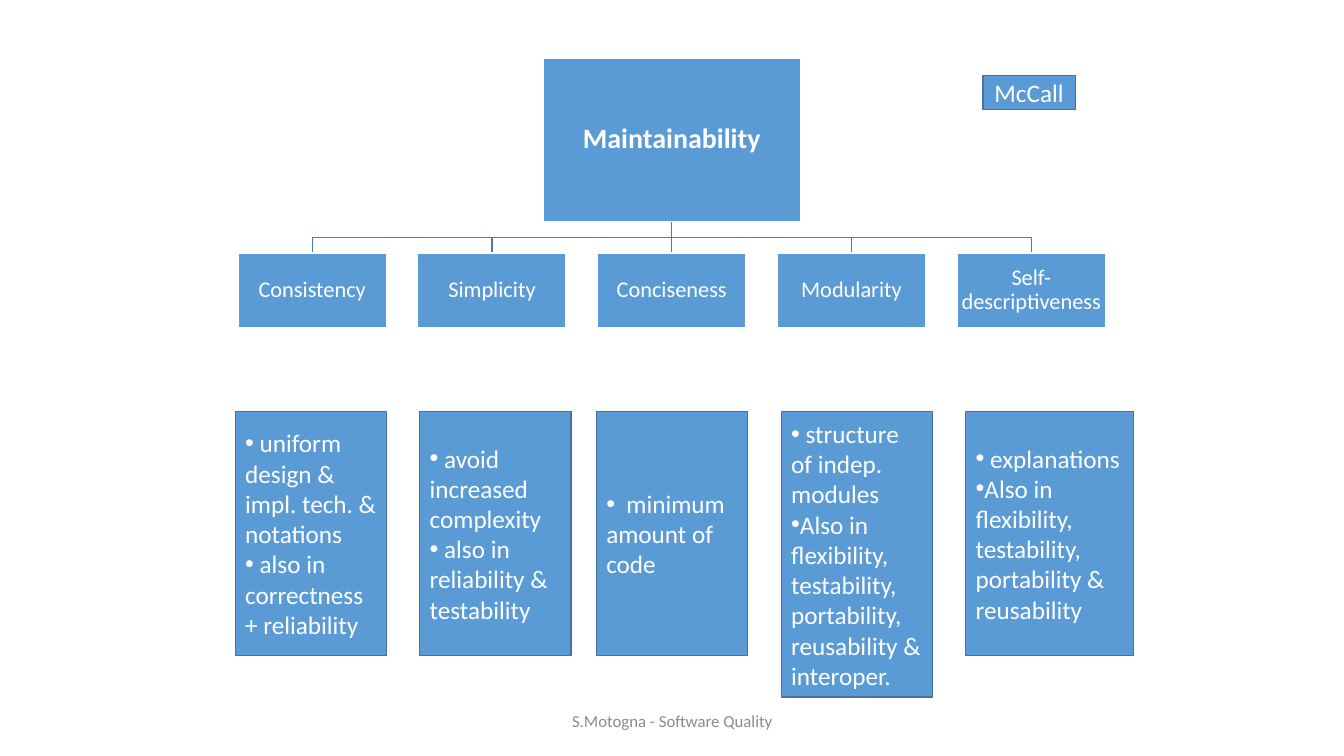
from lxml import etree
from pptx import Presentation
from pptx import util as u
from pptx.dml.color import RGBColor
from pptx.enum import shapes, text
from pptx.oxml.ns import qn

COLORS = {"box": "5B9BD5", "edge": "43739E", "link": "497CAB",
          "white": "FFFFFF", "footer": "8C8C8C"}
FONT = "Calibri"
CENTER = text.PP_ALIGN.CENTER
LEFT = text.PP_ALIGN.LEFT

ROOT = (13.69, 1.47, 6.48, 4.11)
ROOT_X = 16.93
LINK_TOP, LINK_MID, LINK_END = 5.59, 5.99, 6.38
CRITERION_W, CRITERION_H, CRITERION_PITCH = 3.74, 1.87, 4.53
CRITERIA = ["Consistency", "Simplicity", "Conciseness", "Modularity",
            "Self-descriptiveness"]
NOTES_TOP = 10.37
NOTES = [
    (5.93, 3.81, 6.15, [" uniform design & impl. tech. & notations",
                        " also in correctness + reliability"]),
    (10.58, 3.81, 6.15, [" avoid increased complexity",
                         " also in reliability & testability"]),
    (15.03, 3.81, 6.15, ["  minimum amount of code"]),
    (19.69, 3.81, 7.2, [" structure of indep. modules",
                        "Also in flexibility, testability, portability, "
                        "reusability & interoper."]),
    (24.34, 4.23, 6.15, [" explanations",
                         "Also in flexibility, testability, portability "
                         "& reusability"]),
]


def rgb(name):
    return RGBColor.from_string(COLORS[name])


def set_line(sp, color):
    sp.line.color.rgb = rgb(color)
    sp.line.width = u.Pt(1)


def add_bullet(p):
    pPr = p._p.get_or_add_pPr()
    pPr.set("marL", "0")
    pPr.set("indent", "0")
    etree.SubElement(pPr, qn("a:buFont")).set("typeface", "Arial")
    etree.SubElement(pPr, qn("a:buChar")).set("char", "•")


def write(sp, lines, size, color="white", align=CENTER, bold=False,
          spacing=None, bullets=False):
    tf = sp.text_frame
    tf.word_wrap = True
    tf.vertical_anchor = text.MSO_ANCHOR.MIDDLE
    for i, line in enumerate(lines):
        p = tf.add_paragraph() if i else tf.paragraphs[0]
        p.alignment = align
        if spacing:
            p.line_spacing = spacing
        if bullets:
            add_bullet(p)
        r = p.add_run()
        r.text = line
        r.font.name = FONT
        r.font.size = u.Pt(size)
        r.font.bold = bold
        r.font.color.rgb = rgb(color)


def add_box(s, box, edge, lines, size, **style):
    sp = s.shapes.add_shape(shapes.MSO_SHAPE.RECTANGLE, *map(u.Cm, box))
    sp.shadow.inherit = False
    sp.fill.solid()
    sp.fill.fore_color.rgb = rgb("box")
    set_line(sp, edge)
    write(sp, lines, size, **style)
    return sp


def add_tree_box(s, box, label, size, bold=False):
    sp = add_box(s, box, "white", [label], size, bold=bold, spacing=0.9)
    tf = sp.text_frame
    tf.margin_left = tf.margin_right = u.Cm(0.03)
    tf.margin_top = tf.margin_bottom = u.Cm(0.03)


def add_trunk(s):
    line = s.shapes.add_connector(
        shapes.MSO_CONNECTOR.STRAIGHT, u.Cm(ROOT_X), u.Cm(LINK_TOP),
        u.Cm(ROOT_X), u.Cm(LINK_END))
    set_line(line, "link")
    etree.SubElement(line._element.spPr, qn("a:effectLst"))


def add_branch(s, x):
    points = [(ROOT_X, LINK_MID), (x, LINK_MID), (x, LINK_END)]
    fb = s.shapes.build_freeform(u.Cm(ROOT_X), u.Cm(LINK_TOP))
    fb.add_line_segments([(u.Cm(px), u.Cm(py)) for px, py in points],
                         close=False)
    sp = fb.convert_to_shape()
    sp.shadow.inherit = False
    sp.fill.background()
    set_line(sp, "link")


def add_tree(s):
    middle = len(CRITERIA) // 2
    centers = [ROOT_X + (i - middle) * CRITERION_PITCH
               for i in range(len(CRITERIA))]
    for i, x in enumerate(centers):
        if i == middle:
            add_trunk(s)
        else:
            add_branch(s, x)
    add_tree_box(s, ROOT, "Maintainability", 20, bold=True)
    for x, label in zip(centers, CRITERIA):
        box = (x - CRITERION_W / 2, LINK_END, CRITERION_W, CRITERION_H)
        add_tree_box(s, box, label, 16)


def add_footer(s, label):
    sp = s.shapes.add_textbox(*map(u.Cm, (11.23, 17.65, 11.43, 1.02)))
    write(sp, [label], 12, color="footer")


def main():
    prs = Presentation()
    prs.slide_width = u.Cm(33.87)
    prs.slide_height = u.Cm(19.05)
    s = prs.slides.add_slide(prs.slide_layouts[6])
    add_footer(s, "S.Motogna - Software Quality")
    add_tree(s)
    for left, width, height, lines in NOTES:
        add_box(s, (left, NOTES_TOP, width, height), "edge", lines, 18,
                align=LEFT, bullets=True)
    add_box(s, (24.77, 1.91, 2.33, 0.85), "edge", ["McCall"], 18)
    prs.save("out.pptx")


main()
